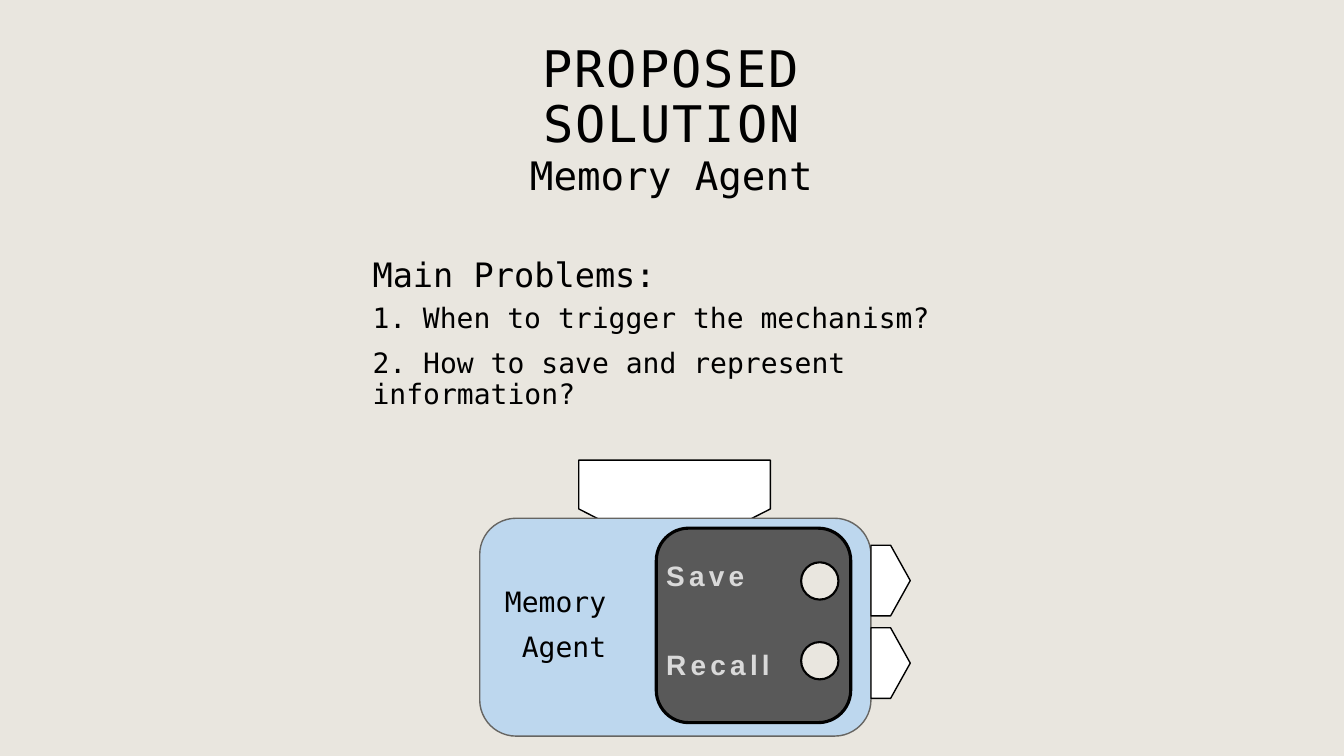
from dataclasses import dataclass

from lxml.etree import SubElement
from pptx import Presentation
from pptx.dml.color import RGBColor
from pptx.enum.shapes import MSO_SHAPE as Preset
from pptx.enum.text import MSO_ANCHOR as Anchor, PP_ALIGN as Align
from pptx.oxml.ns import qn
from pptx.util import Cm, Pt

MONO = "DejaVu Sans Mono"
BLACK, WHITE, BEIGE = "000000", "FFFFFF", "E9E6DF"
BLUE, GREY, DARK, PALE = "BDD7EE", "666562", "595959", "D9D9D9"


@dataclass(frozen=True)
class Box:
    """Position and size in centimetres."""
    left: float
    top: float
    width: float
    height: float

    def lengths(self) -> list[Cm]:
        return [Cm(value) for value in (self.left, self.top, self.width, self.height)]


@dataclass(frozen=True)
class Part:
    preset: Preset
    box: Box
    fill: str
    line: str = BLACK
    weight: float = 1
    rotation: float = 0


def color(code: str) -> RGBColor:
    return RGBColor.from_string(code)


def draw_part(shapes, part: Part) -> None:
    shape = shapes.add_shape(part.preset, *part.box.lengths())
    shape.shadow.inherit = False
    shape.rotation = part.rotation
    shape.fill.solid()
    shape.fill.fore_color.rgb = color(part.fill)
    shape.line.color.rgb = color(part.line)
    shape.line.width = Pt(part.weight)


def number_paragraph(para) -> None:
    """Give the paragraph an automatic number with a hanging indent."""
    settings = para._p.get_or_add_pPr()
    settings.set("marL", str(Cm(1.27)))
    settings.set("indent", str(-Cm(1.27)))
    SubElement(settings, qn("a:buFont"), typeface=MONO)
    SubElement(settings, qn("a:buAutoNum"), type="arabicPeriod")


def write(shapes, box: Box, *lines: str, size: float = 20, font: str = MONO,
          ink: str = BLACK, bold: bool = False, tracking: float = 0,
          align: Align = Align.LEFT, anchor: Anchor = Anchor.TOP,
          before: float = 10, gap: float = 10, numbered: bool = False) -> None:
    """Add a text box; before precedes the first line, gap each later one."""
    frame = shapes.add_textbox(*box.lengths()).text_frame
    frame.word_wrap = True
    frame.vertical_anchor = anchor
    for index, line in enumerate(lines):
        para = frame.add_paragraph() if index else frame.paragraphs[0]
        para.alignment = align
        para.line_spacing = 0.9
        para.space_before = Pt(gap if index else before)
        if numbered:
            number_paragraph(para)
        span = para.add_run()
        span.text = line
        span.font.name = font
        span.font.size = Pt(size)
        span.font.bold = bold
        span.font.color.rgb = color(ink)
        if tracking:
            span.font._element.set("spc", str(round(tracking * 100)))


def draw_headings(shapes) -> None:
    write(shapes, Box(11.66, 3.81, 10.52, 1.4), "Memory Agent", size=28, align=Align.CENTER)
    write(shapes, Box(10.16, 2.11, 13.54, 1.88), "PROPOSED SOLUTION", size=36,
          tracking=1.5, align=Align.CENTER, anchor=Anchor.BOTTOM, before=0)


def draw_agent(shapes) -> None:
    plug = Part(Preset.PENTAGON, Box(15.77, 10.41, 2.46, 4.83), WHITE, rotation=90)
    body = Part(Preset.ROUNDED_RECTANGLE, Box(12.09, 13.06, 9.86, 5.49), BLUE, GREY)
    panel = Part(Preset.ROUNDED_RECTANGLE, Box(16.54, 13.31, 4.9, 4.9), DARK, weight=2.25)
    outlets = [Part(Preset.PENTAGON, Box(21.95, 13.74 + 2.08 * row, 0.99, 1.78), WHITE)
               for row in range(2)]
    buttons = [Part(Preset.OVAL, Box(20.19, 14.17 + 2.01 * row, 0.94, 0.94), BEIGE, weight=1.5)
               for row in range(2)]

    for part in (plug, body, panel):
        draw_part(shapes, part)
    write(shapes, Box(12.4, 14.71, 3.63, 2.21), "Memory ", "Agent", align=Align.CENTER)
    write(shapes, Box(16.54, 14.05, 4.04, 3.66), "Save", "Recall", font="Arial",
          ink=PALE, bold=True, tracking=3, gap=42)
    for part in outlets + buttons:
        draw_part(shapes, part)


def draw_problems(shapes) -> None:
    write(shapes, Box(9.14, 6.4, 10.52, 1.4), "Main Problems:", size=24)
    write(shapes, Box(9.14, 8.69, 17.22, 1.3), "2. How to save and represent information?")
    write(shapes, Box(9.14, 7.54, 16.08, 1.4), "When to trigger the mechanism?", numbered=True)


def main() -> None:
    deck = Presentation()
    deck.slide_width, deck.slide_height = Cm(33.87), Cm(19.05)
    page = deck.slides.add_slide(deck.slide_layouts[6])
    page.background.fill.solid()
    page.background.fill.fore_color.rgb = color(BEIGE)
    draw_headings(page.shapes)
    draw_agent(page.shapes.add_group_shape().shapes)
    draw_problems(page.shapes)
    deck.save("out.pptx")


if __name__ == "__main__":
    main()
